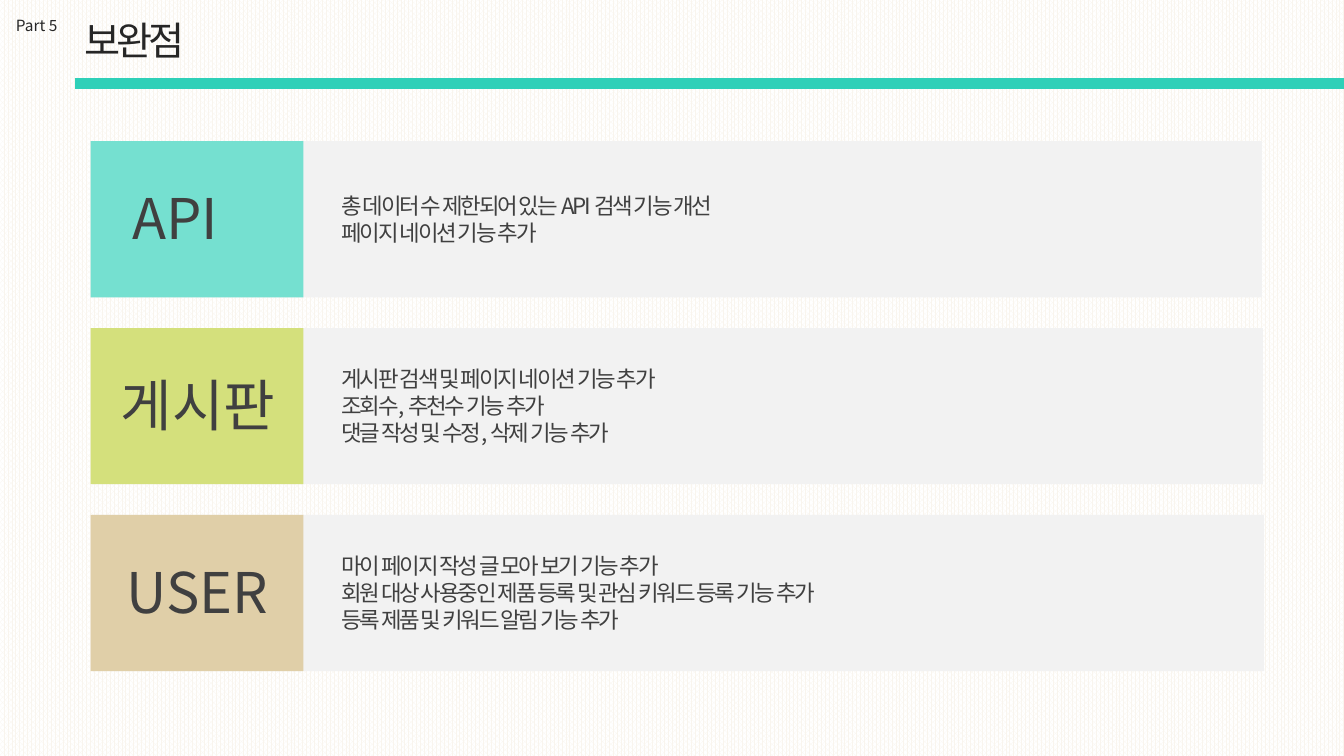
from dataclasses import dataclass

from lxml.etree import SubElement
from pptx import Presentation
from pptx.dml.color import RGBColor as Color
from pptx.enum.dml import MSO_PATTERN as Pattern
from pptx.enum.shapes import MSO_CONNECTOR as Connector, MSO_SHAPE as Shape
from pptx.enum.text import MSO_AUTO_SIZE as AutoSize, PP_ALIGN as Align
from pptx.oxml.ns import qn
from pptx.util import Pt


@dataclass(frozen=True)
class Theme:
    font: str = "Noto Sans CJK KR"
    paper: str = "FFFFFF"
    weave: str = "F9F5EE"
    accent: str = "2FD0B8"
    panel: str = "F2F2F2"
    heading: str = "262626"
    text: str = "404040"
    part_size: float = 11
    title_size: float = 28
    label_size: float = 40
    body_size: float = 16


THEME = Theme()
SLIDE_WIDTH, SLIDE_HEIGHT = 960, 540
CARD_LEFT, CARD_TOP, CARD_PITCH = 64.8, 100.8, 133.5
CARD_WIDTH, CARD_HEIGHT, TAG_WIDTH = 836.6, 111.6, 151.9
PANEL_STEP = 0.7  # each grey panel starts slightly further right

# tag text, tag colour, label offset and width, body lines
CARDS = [
    ("API", "75E0D0", 18.7, 83.5,
     ["총 데이터 수 제한되어 있는 API 검색 기능 개선",
      "페이지 네이션 기능 추가"]),
    ("게시판", "D4E07C", 9.4, 134.6,
     ["게시판 검색 및 페이지 네이션 기능 추가",
      "조회수, 추천수 기능 추가",
      "댓글 작성 및 수정, 삭제 기능 추가"]),
    ("USER", "E0CFA8", 13, 126.7,
     ["마이 페이지 작성 글 모아 보기 기능 추가",
      "회원 대상 사용중인 제품 등록 및 관심 키워드 등록 기능 추가",
      "등록 제품 및 키워드 알림 기능 추가"]),
]


def add_text(page, box, lines, size, color, align=Align.LEFT, spacing=0, wrap=True):
    """Place one paragraph per line; spacing is the letter spacing in points."""
    frame = page.shapes.add_textbox(*map(Pt, box)).text_frame
    frame.word_wrap = wrap
    frame.auto_size = AutoSize.SHAPE_TO_FIT_TEXT
    frame.text = "\n".join(lines)
    for para in frame.paragraphs:
        para.alignment = align
        para.font.size = Pt(size)
        para.font.name = THEME.font
        para.font.color.rgb = Color.from_string(color)
        style = para._p.pPr.find(qn("a:defRPr"))
        style.set("spc", str(round(spacing * 100)))
        SubElement(style, qn("a:ea"), typeface=THEME.font)


def add_block(page, box, color):
    block = page.shapes.add_shape(Shape.RECTANGLE, *map(Pt, box))
    block.shadow.inherit = False
    block.fill.solid()
    block.fill.fore_color.rgb = Color.from_string(color)
    block.line.fill.background()


def add_background(page):
    fill = page.background.fill
    fill.patterned()
    fill.pattern = Pattern.PERCENT_75
    fill.fore_color.rgb = Color.from_string(THEME.weave)
    fill.back_color.rgb = Color.from_string(THEME.paper)


def add_header(page, box, part, title):
    left, top, width, height = box
    indent, bottom = left + 49, top + height
    rule = page.shapes.add_connector(
        Connector.STRAIGHT, Pt(indent), Pt(bottom), Pt(left + width), Pt(bottom))
    rule.line.color.rgb = Color.from_string(THEME.accent)
    rule.line.width = Pt(8)
    SubElement(rule._element.spPr, qn("a:effectLst"))
    add_text(page, (left, top, 45.4, 20.9), [part],
             THEME.part_size, THEME.heading, wrap=False)
    add_text(page, (indent, top, 90, 41), [title],
             THEME.title_size, THEME.heading, spacing=-3, wrap=False)


def add_card(page, box, panel_shift, label, color, label_shift, label_width, lines):
    left, top, width, height = box
    add_block(page, (left + panel_shift, top, width, height), THEME.panel)
    add_block(page, (left, top, TAG_WIDTH, height), color)
    add_text(page, (left + label_shift, top + 27, label_width, 55.4), [label],
             THEME.label_size, THEME.text, Align.CENTER)
    body_height = 7.2 + 19.4 * len(lines)
    body_top = top + (height - body_height) / 2
    add_text(page, (left + 172, body_top, 637.2, body_height), lines,
             THEME.body_size, THEME.text, Align.JUSTIFY, spacing=-1.5)


def main():
    deck = Presentation()
    deck.slide_width, deck.slide_height = Pt(SLIDE_WIDTH), Pt(SLIDE_HEIGHT)
    page = deck.slides.add_slide(deck.slide_layouts[6])
    add_background(page)
    add_header(page, (4.3, 7.9, SLIDE_WIDTH - 4.3, 51.9), "Part 5", "보완점")
    for index, card in enumerate(CARDS):
        box = (CARD_LEFT, CARD_TOP + index * CARD_PITCH, CARD_WIDTH, CARD_HEIGHT)
        add_card(page, box, index * PANEL_STEP, *card)
    deck.save("out.pptx")


if __name__ == "__main__":
    main()
